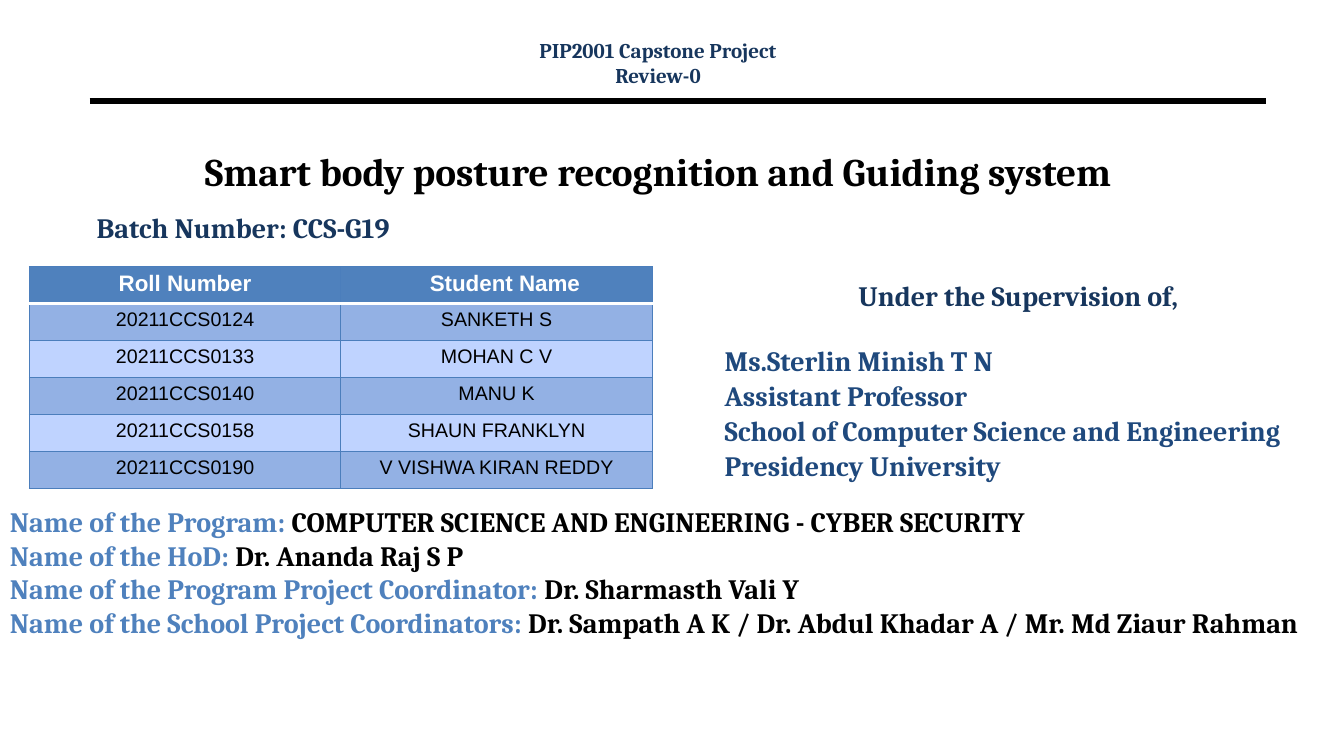
from lxml import etree
from pptx import Presentation
from pptx.dml.color import RGBColor
from pptx.enum import shapes, text
from pptx.oxml import parse_xml
from pptx.oxml.ns import nsdecls, qn
from pptx.util import Pt

BLACK = RGBColor(0x00, 0x00, 0x00)
WHITE = RGBColor(0xFF, 0xFF, 0xFF)
NAVY = RGBColor(0x17, 0x36, 0x5D)
DARK_BLUE = RGBColor(0x1F, 0x49, 0x7D)
BLUE = RGBColor(0x4F, 0x81, 0xBD)
BAND_DARK = RGBColor(0x93, 0xB1, 0xE4)
BAND_LIGHT = RGBColor(0xBF, 0xD3, 0xFF)
GRID = RGBColor(0x4B, 0x7E, 0xBC)

CENTER, LEFT = text.PP_ALIGN.CENTER, text.PP_ALIGN.LEFT

STUDENTS = [
    ("Roll Number", "Student Name"),
    ("20211CCS0124", "SANKETH S"),
    ("20211CCS0133", "MOHAN C V"),
    ("20211CCS0140", "MANU K"),
    ("20211CCS0158", "SHAUN FRANKLYN"),
    ("20211CCS0190", "V VISHWA KIRAN REDDY"),
]
SUPERVISOR = [
    "Ms.Sterlin Minish T N",
    "Assistant Professor",
    "School of Computer Science and Engineering",
    "Presidency University",
]
PROGRAM = [
    ("Name of the Program: ", "COMPUTER SCIENCE AND ENGINEERING - CYBER SECURITY"),
    ("Name of the HoD: ", "Dr. Ananda Raj S P"),
    ("Name of the Program Project Coordinator: ", "Dr. Sharmasth Vali Y"),
    ("Name of the School Project Coordinators: ",
     "Dr. Sampath A K / Dr. Abdul Khadar A / Mr. Md Ziaur Rahman"),
]


def style_run(run, size, color, bold=True, font="Cambria"):
    run.font.name = font
    run.font.size = Pt(size)
    run.font.bold = bold
    run.font.color.rgb = color


def add_frame(slide, box, anchor=text.MSO_ANCHOR.TOP):
    frame = slide.shapes.add_textbox(*map(Pt, box)).text_frame
    frame.word_wrap = True
    frame.vertical_anchor = anchor
    return frame


def add_line(frame, parts, size, align=LEFT, spacing=1.0, before=0):
    """Write one paragraph of (words, colour) parts, using the empty first one if it is free."""
    first = frame.paragraphs[0]
    line = frame.add_paragraph() if first.runs else first
    line.alignment = align
    line.line_spacing = spacing
    line.space_before = Pt(before)
    for words, color in parts:
        run = line.add_run()
        run.text = words
        style_run(run, size, color)


def add_header(slide, left, top, width, height):
    """Course lines centred above a thick rule."""
    course = add_frame(slide, (left + 250, top, 312, height))
    add_line(course, [("PIP2001 Capstone Project", NAVY)], 15, CENTER, 0.8)
    add_line(course, [("Review-0", NAVY)], 15, CENTER, 0.8, 3.1)
    rule_y = Pt(top + height + 2)
    rule = slide.shapes.add_connector(
        shapes.MSO_CONNECTOR.STRAIGHT, Pt(left), rule_y, Pt(left + width), rule_y)
    rule.line.color.rgb = BLACK
    rule.line.width = Pt(4.5)
    etree.SubElement(rule._element.spPr, qn("a:effectLst"))


def add_title(slide, left, top, width, height):
    title = add_frame(slide, (left, top, width, height), text.MSO_ANCHOR.MIDDLE)
    add_line(title, [("Smart body posture recognition and Guiding system", BLACK)], 28, CENTER)
    batch = add_frame(slide, (left, top + 62.7, 312, 43))
    add_line(batch, [("Batch Number: CCS-G19", NAVY)], 20)


def set_borders(cell, bottom_color, bottom_width, top_color, top_width):
    edges = [("lnL", GRID, 0.75), ("lnR", GRID, 0.75),
             ("lnT", top_color, top_width), ("lnB", bottom_color, bottom_width)]
    for index, (edge, color, width) in enumerate(edges):
        cell._tc.get_or_add_tcPr().insert(index, parse_xml(
            f'<a:{edge} {nsdecls("a")} w="{Pt(width)}"><a:solidFill>'
            f'<a:srgbClr val="{color}"/></a:solidFill></a:{edge}>'))


def add_students(slide, left, top, width, height):
    rows = len(STUDENTS)
    table = slide.shapes.add_table(rows, 2, *map(Pt, (left, top, width, height))).table
    for row, student in enumerate(STUDENTS):
        table.rows[row].height = Pt(height / rows)
        header = row == 0
        for column, words in enumerate(student):
            cell = table.cell(row, column)
            cell.text_frame.text = words
            entry = cell.text_frame.paragraphs[0]
            entry.alignment = CENTER
            style_run(entry.runs[0], 16 if header else 14,
                      WHITE if header else BLACK, header, "Arial")
            cell.fill.solid()
            cell.fill.fore_color.rgb = (
                BLUE if header else BAND_DARK if row % 2 else BAND_LIGHT)
            bottom = (WHITE, 2) if header else (GRID, 0.75)
            above = (WHITE, 2) if row == 1 else (GRID, 0.75)
            set_borders(cell, *bottom, *above)
    table.cell(0, 1).margin_left = Pt(19)


def add_supervision(slide, left, top, width, height):
    supervision = add_frame(slide, (left, top, width, height))
    add_line(supervision, [("Under the Supervision of,", NAVY)], 20, CENTER, 0.9)
    for index, words in enumerate(SUPERVISOR):
        add_line(supervision, [(words, DARK_BLUE)], 20, LEFT, 0.9, 3.4 if index else 24.8)


def add_program(slide, left, top, width, height):
    program = add_frame(slide, (left, top, width, height))
    for label, value in PROGRAM:
        add_line(program, [(label, BLUE), (value, BLACK)], 20)


def main():
    deck = Presentation()
    deck.slide_width, deck.slide_height = Pt(960), Pt(540)
    slide = deck.slides.add_slide(deck.slide_layouts[6])
    add_header(slide, 64, 27, 840, 43)
    add_title(slide, 62, 84, 816, 76)
    add_supervision(slide, 510.5, 198, 434, 159)
    add_program(slide, 0, 357, 965, 123)
    add_students(slide, 21, 190.5, 445, 158.4)
    deck.save("out.pptx")


if __name__ == "__main__":
    main()
